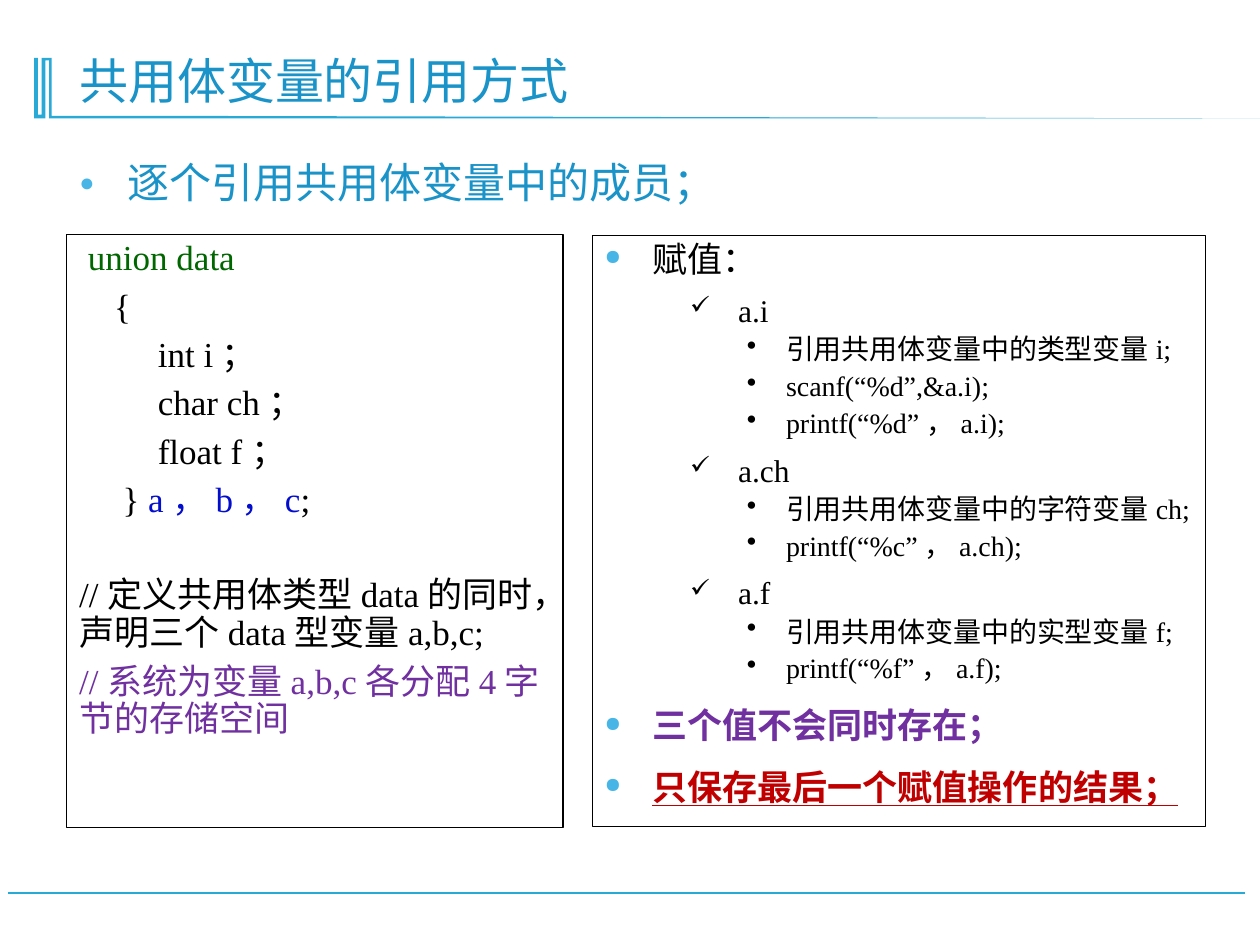
from lxml import etree
from pptx import Presentation
from pptx.dml.color import RGBColor
from pptx.enum.shapes import MSO_CONNECTOR, MSO_SHAPE
from pptx.enum.text import MSO_ANCHOR, MSO_AUTO_SIZE, PP_ALIGN
from pptx.oxml.ns import qn
from pptx.util import Inches, Pt

LEFT = PP_ALIGN.LEFT
TOP, BOTTOM = MSO_ANCHOR.TOP, MSO_ANCHOR.BOTTOM
NO_AUTOFIT = MSO_AUTO_SIZE.NONE
RECTANGLE = MSO_SHAPE.RECTANGLE
STRAIGHT = MSO_CONNECTOR.STRAIGHT

FONT = "Times New Roman"
BLACK = RGBColor(0x00, 0x00, 0x00)
CYAN = RGBColor(0x28, 0xA9, 0xD6)
HEADING_BLUE = RGBColor(0x1A, 0x93, 0xC8)
BULLET_BLUE = RGBColor(0x47, 0xB6, 0xE7)
GREEN = RGBColor(0x00, 0x66, 0x00)
CODE_BLUE = RGBColor(0x03, 0x0D, 0xCD)
PURPLE = RGBColor(0x70, 0x30, 0xA0)
RED = RGBColor(0xC0, 0x00, 0x00)

TITLE = "共用体变量的引用方式"
SUBTITLE = "逐个引用共用体变量中的成员；"

# Each line is a list of (text, colour) pieces.
DECLARATION = [
    [(" ", BLACK), ("union data", GREEN)],
    [("    {", BLACK)],
    [("         int i；", BLACK)],
    [("         char ch；", BLACK)],
    [("         float f；", BLACK)],
    [("　} ", BLACK), ("a，b，c", CODE_BLUE), (";", BLACK)],
]
COMMENTS = [
    ("//定义共用体类型data的同时，声明三个data型变量a,b,c;", BLACK, 33),
    ("//系统为变量a,b,c各分配4字节的存储空间", PURPLE, 6),
]

ASSIGNMENT = "赋值："
MEMBERS = {
    "a.i": ["引用共用体变量中的类型变量i;", "scanf(“%d”,&a.i);", "printf(“%d”，a.i);"],
    "a.ch": ["引用共用体变量中的字符变量ch;", "printf(“%c”，a.ch);"],
    "a.f": ["引用共用体变量中的实型变量f;", "printf(“%f”，a.f);"],
}
CONCLUSIONS = [
    ("三个值不会同时存在；", PURPLE, False),
    ("只保存最后一个赋值操作的结果；", RED, True),
]

# Paragraph formats; bullet = (character, percent of text size, colour)
MAIN = dict(bullet=("●", 60, BULLET_BLUE), margin=0.38, hanging=0.38, before=13.5)
MEMBER = dict(bullet=("✓", 80, BLACK), margin=1.06, hanging=0.38,
              level=1, size=18, spacing=1.3)
DETAIL = dict(bullet=("•", 100, BLACK), margin=1.44, hanging=0.31,
              level=2, size=16, before=3.8)

# Title ornament outline, in hundredths of an inch
ORNAMENT = [
    (41, 46), (41, 92), (140, 92), (1009, 94), (39, 94), (39, 48), (36, 48),
    (36, 94), (27, 94), (27, 46), (30, 46), (30, 91), (33, 91), (33, 46),
]


def set_bullet(paragraph, bullet, margin, hanging):
    properties = paragraph._p.get_or_add_pPr()
    properties.set("marL", str(Inches(margin)))
    properties.set("indent", str(-Inches(hanging)))
    if bullet is None:
        etree.SubElement(properties, qn("a:buNone"))
        return
    character, percent, color = bullet
    bullet_color = etree.SubElement(properties, qn("a:buClr"))
    etree.SubElement(bullet_color, qn("a:srgbClr"), val=str(color))
    etree.SubElement(properties, qn("a:buSzPct"), val=str(percent * 1000))
    etree.SubElement(properties, qn("a:buChar"), char=character)


def add_text(frame, text, color=BLACK, size=20, spacing=0.9, before=0, level=0,
             bullet=None, margin=0, hanging=0, bold=False, underline=False):
    """Add a paragraph; text is a string or a list of (text, colour) pieces."""
    is_first = not frame.paragraphs[0].runs
    paragraph = frame.paragraphs[0] if is_first else frame.add_paragraph()
    set_bullet(paragraph, bullet, margin, hanging)
    paragraph.level = level
    paragraph.alignment = LEFT
    paragraph.line_spacing = spacing
    paragraph.space_before = Pt(0 if is_first else before)
    pieces = [(text, color)] if isinstance(text, str) else text
    for piece, piece_color in pieces:
        run = paragraph.add_run()
        run.text = piece
        run.font.name = FONT
        run.font.size = Pt(size)
        run.font.bold = bold
        run.font.underline = underline
        run.font.color.rgb = piece_color


def prepare_frame(shape, anchor=TOP):
    frame = shape.text_frame
    frame.word_wrap = True
    frame.auto_size = NO_AUTOFIT
    frame.vertical_anchor = anchor
    return frame


def place(shape, left, top, width, height):
    shape.left, shape.top = Inches(left), Inches(top)
    shape.width, shape.height = Inches(width), Inches(height)


def add_panel(slide, left, top, width, height):
    panel = slide.shapes.add_shape(
        RECTANGLE, Inches(left), Inches(top), Inches(width), Inches(height))
    panel.shadow.inherit = False
    panel.fill.background()
    panel.line.color.rgb = BLACK
    panel.line.width = Pt(0.75)
    return prepare_frame(panel)


def add_decoration(slide):
    footer = slide.shapes.add_connector(
        STRAIGHT, Inches(9.88), Inches(7.09), Inches(0.06), Inches(7.09))
    footer.line.color.rgb = CYAN
    footer.line.width = Pt(1.25)
    etree.SubElement(footer._element.spPr, qn("a:effectLst"))

    builder = slide.shapes.build_freeform(*ORNAMENT[0], scale=Inches(0.01))
    builder.add_line_segments(ORNAMENT[1:], close=True)
    ornament = builder.convert_to_shape()
    ornament.shadow.inherit = False
    ornament.fill.solid()
    ornament.fill.fore_color.rgb = CYAN
    ornament.line.fill.background()


def main():
    presentation = Presentation()
    presentation.slide_width, presentation.slide_height = Inches(10), Inches(7.5)
    slide = presentation.slides.add_slide(presentation.slide_layouts[1])
    add_decoration(slide)

    title, body = slide.shapes.title, slide.placeholders[1]
    place(title, 0.53, 0.28, 8.85, 0.64)
    add_text(prepare_frame(title, BOTTOM), TITLE, color=HEADING_BLUE, size=28)
    place(body, 0.53, 1.24, 8.74, 0.54)
    add_text(prepare_frame(body), SUBTITLE, color=HEADING_BLUE, size=24, **MAIN)

    code = add_panel(slide, 0.53, 1.86, 3.94, 4.71)
    for line in DECLARATION:
        add_text(code, line, before=6)
    for comment, color, before in COMMENTS:
        add_text(code, comment, color=color, before=before)

    usage = add_panel(slide, 4.7, 1.87, 4.87, 4.69)
    add_text(usage, ASSIGNMENT, **MAIN)
    for member, details in MEMBERS.items():
        add_text(usage, member, **MEMBER)
        for detail in details:
            add_text(usage, detail, **DETAIL)
    for conclusion, color, underline in CONCLUSIONS:
        add_text(usage, conclusion, color=color, bold=True, underline=underline, **MAIN)

    presentation.save("out.pptx")


if __name__ == "__main__":
    main()
